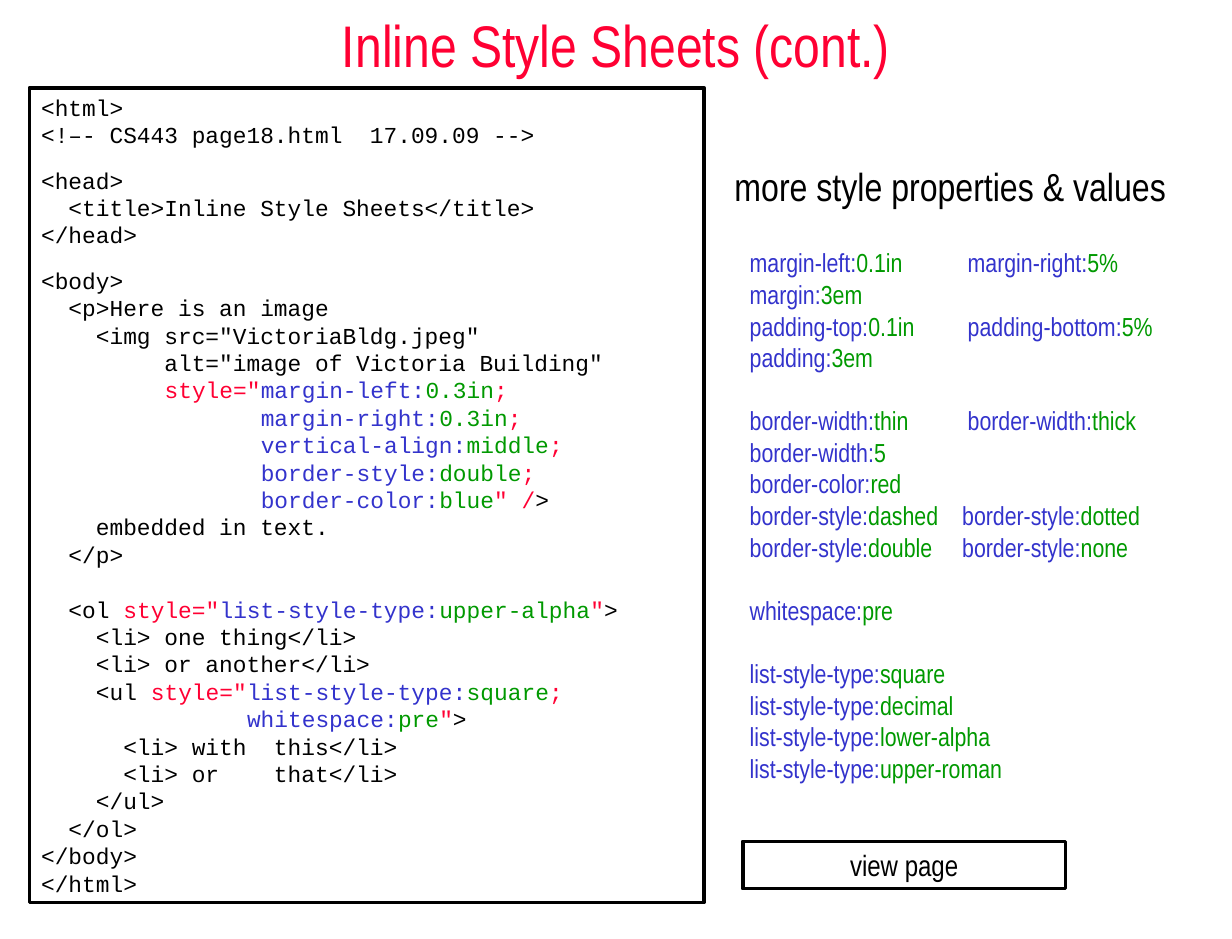
from lxml import etree
from pptx import Presentation
from pptx.dml.color import RGBColor
from pptx.enum import shapes, text
from pptx.oxml.ns import qn
from pptx.util import Cm, Pt

BLACK, RED, BLUE, GREEN = "000000", "FF0033", "3333CC", "009900"
NARROW, MONO = "Arial Narrow", "Courier New"

TITLE = "Inline Style Sheets (cont.)"
HEADING = "more style properties & values"
BUTTON = "view page"

# Blocks of code lines. A styled line is split into the parts of CODE_COLORS.
CODE_COLORS = (BLACK, RED, BLUE, GREEN, RED, BLACK)
PAD = " " * 16
CODE = [
    ["<html>", "<!–- CS443 page18.html  17.09.09 -->"],
    ["<head>", "  <title>Inline Style Sheets</title>", "</head>"],
    [
        "<body>",
        "  <p>Here is an image",
        '    <img src="VictoriaBldg.jpeg"',
        '         alt="image of Victoria Building"',
        ("         ", 'style="', "margin-left:", "0.3in", ";"),
        (PAD, "", "margin-right:", "0.3in", ";"),
        (PAD, "", "vertical-align:", "middle", ";"),
        (PAD, "", "border-style:", "double", ";"),
        (PAD, "", "border-color:", "blue", '" /', ">"),
        "    embedded in text.",
        "  </p>",
    ],
    [
        ("  <ol ", 'style="', "list-style-type:", "upper-alpha", '"', ">"),
        "    <li> one thing</li>",
        "    <li> or another</li>",
        ("    <ul ", 'style="', "list-style-type:", "square", ";"),
        (PAD[1:], "", "whitespace:", "pre", '"', ">"),
        "      <li> with  this</li>",
        "      <li> or    that</li>",
        "    </ul>",
        "  </ol>",
        "</body>",
        "</html>",
    ],
]
CODE_GAPS = (0, 11, 11, 16.8)

# Groups of rows; each row holds one or two declarations.
PROPERTIES = [
    [
        ("margin-left:0.1in", "margin-right:5%"),
        ("margin:3em",),
        ("padding-top:0.1in", "padding-bottom:5%"),
        ("padding:3em",),
    ],
    [
        ("border-width:thin", "border-width:thick"),
        ("border-width:5",),
        ("border-color:red",),
        ("border-style:dashed", "border-style:dotted"),
        ("border-style:double", "border-style:none"),
    ],
    [("whitespace:pre",)],
    [
        ("list-style-type:square",),
        ("list-style-type:decimal",),
        ("list-style-type:lower-alpha",),
        ("list-style-type:upper-roman",),
    ],
]
ROW_GAP, GROUP_GAP = 4, 23.4


def rgb(color):
    return RGBColor.from_string(color)


def write(frame, runs, size, font=NARROW, align=text.PP_ALIGN.LEFT,
          before=0, spacing=None, tab=None):
    """Add one paragraph of (words, colour) runs, filling the empty first one."""
    paragraph = frame.paragraphs[0]
    if paragraph.runs:
        paragraph = frame.add_paragraph()
    if tab:
        stops = etree.SubElement(paragraph._p.get_or_add_pPr(), qn("a:tabLst"))
        etree.SubElement(stops, qn("a:tab"), pos=str(tab), algn="l")
    paragraph.alignment = align
    paragraph.space_before = Pt(before)
    if spacing:
        paragraph.line_spacing = spacing
    for words, color in runs:
        if words:
            run = paragraph.add_run()
            run.text = words
            run.font.size = Pt(size)
            run.font.name = font
            run.font.color.rgb = rgb(color)


def prepare(shape, anchor=text.MSO_ANCHOR.TOP):
    frame = shape.text_frame
    frame.word_wrap = True
    frame.auto_size = text.MSO_AUTO_SIZE.NONE
    frame.vertical_anchor = anchor
    return frame


def add_text(slide, *place):
    return prepare(slide.shapes.add_textbox(*map(Cm, place)))


def add_box(slide, *place):
    shape = slide.shapes.add_shape(shapes.MSO_SHAPE.RECTANGLE, *map(Cm, place))
    shape.shadow.inherit = False
    shape.fill.background()
    shape.line.color.rgb = rgb(BLACK)
    shape.line.width = Pt(2.25)
    return prepare(shape)


def add_title(slide):
    title = slide.shapes.title
    title.left, title.top, title.width, title.height = map(Cm, (0, 0, 26.67, 1.9))
    frame = prepare(title, text.MSO_ANCHOR.MIDDLE)
    write(frame, [(TITLE, RED)], 36, align=text.PP_ALIGN.CENTER)


def add_code(slide):
    frame = add_box(slide, 0.64, 1.9, 14.6, 17.63)
    for block, gap in zip(CODE, CODE_GAPS):
        for index, line in enumerate(block):
            parts = (line,) if isinstance(line, str) else line
            write(frame, zip(parts, CODE_COLORS), 14, MONO,
                  before=0 if index else gap, spacing=Pt(16.8))


def add_properties(slide):
    write(add_text(slide, 15.65, 3.38, 10.97, 1.5), [(HEADING, BLACK)], 24)
    frame = add_text(slide, 15.98, 5.35, 10.64, 12.5)
    for group_index, group in enumerate(PROPERTIES):
        for row_index, row in enumerate(group):
            runs = []
            for declaration in row:
                name, value = declaration.split(":")
                runs += [("\t", BLUE)] if runs else []
                runs += [(name + ":", BLUE), (value, GREEN)]
            before = ROW_GAP if row_index else GROUP_GAP if group_index else 0
            tab = Cm(4.6 if row[0].startswith("border-style") else 4.72)
            write(frame, runs, 16, before=before, spacing=0.8,
                  tab=tab if len(row) > 1 else None)


def main():
    presentation = Presentation()
    presentation.slide_width, presentation.slide_height = Cm(26.67), Cm(20.32)
    slide = presentation.slides.add_slide(presentation.slide_layouts[5])
    add_title(slide)
    add_properties(slide)
    add_code(slide)
    button = add_box(slide, 16.08, 18.21, 6.99, 1.02)
    write(button, [(BUTTON, BLACK)], 18, align=text.PP_ALIGN.CENTER)
    presentation.save("out.pptx")


if __name__ == "__main__":
    main()
